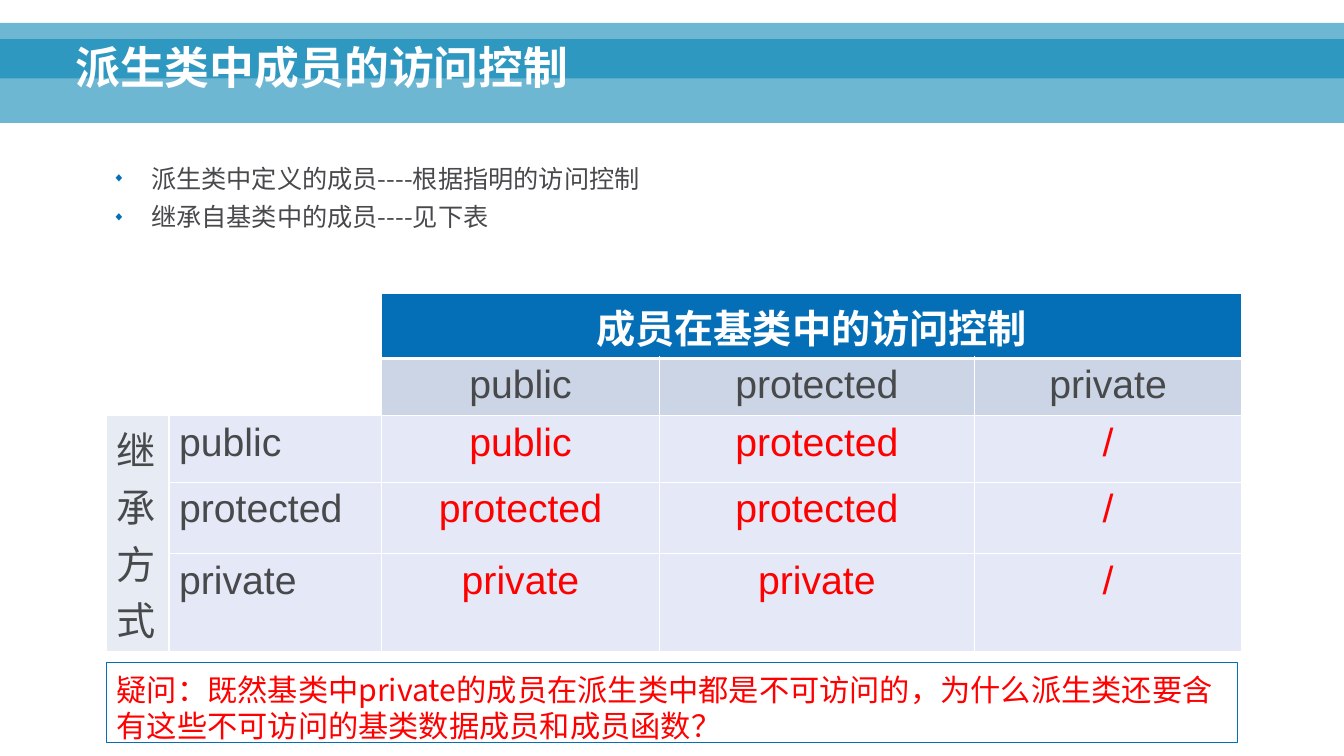
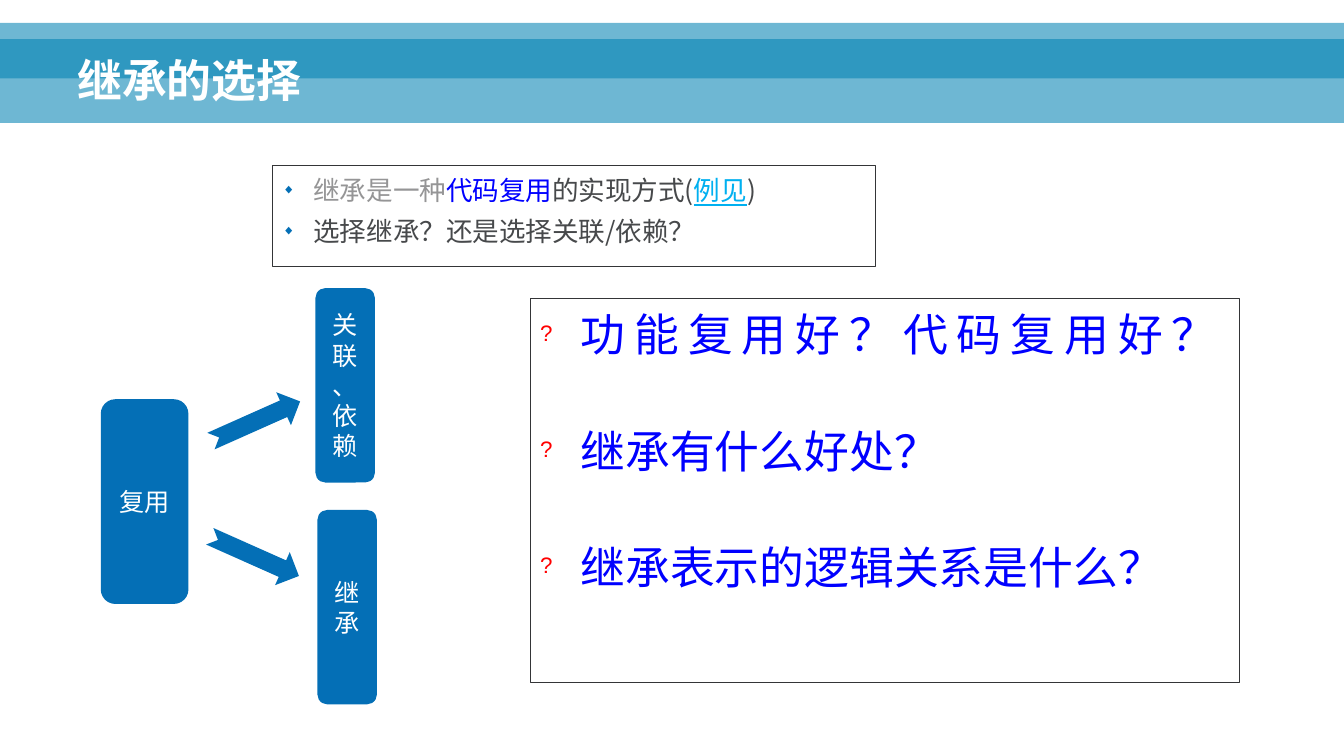
from pptx import Presentation
from pptx.dml.color import RGBColor
from pptx.enum.shapes import MSO_SHAPE as SHAPE
from pptx.enum.text import MSO_ANCHOR as ANCHOR, PP_ALIGN as ALIGN
from pptx.oxml.ns import qn
from pptx.util import Cm, Pt
from lxml.etree import SubElement, Element

COLORS = {
    "blue": "046FB6", "band": "0082B3", "white": "FFFFFF", "text": "47494B",
    "frame": "343537", "red": "FF0000", "ink": "0000FF", "grey": "959596",
    "link": "00B0F0", "head": "CCD5E5", "side": "E7EBF3", "body": "E5E9F7",
}
LATIN, CJK = "Arial", "Noto Sans CJK SC"
WIDTH, HEIGHT = 33.87, 19.05


def rgb(name):
    return RGBColor.from_string(COLORS[name])


def box(at):
    return [Cm(v) for v in at]


# Text
def add_run(p, text, size, color, font=CJK, bold=False, underline=False, spacing=0):
    r = p.add_run()
    r.text = text
    f = r.font
    f.size, f.bold, f.underline, f.name = Pt(size), bold, underline, font
    f.color.rgb = rgb(color)
    rpr = f._element
    SubElement(rpr, qn("a:ea")).set("typeface", CJK)
    if spacing:
        rpr.set("spc", str(round(spacing * 100)))


def set_bullet(p, char, color, indent):
    ppr = p._p.get_or_add_pPr()
    ppr.set("marL", str(Cm(indent)))
    ppr.set("indent", str(-Cm(indent)))
    SubElement(SubElement(ppr, qn("a:buClr")), qn("a:srgbClr")).set("val", COLORS[color])
    SubElement(ppr, qn("a:buSzPct")).set("val", "50000")
    SubElement(ppr, qn("a:buFont")).set("typeface", LATIN)
    SubElement(ppr, qn("a:buChar")).set("char", char)


def add_paragraphs(tf, paragraphs, size, bullet=None, gap=6):
    """Each paragraph is a list of (text, colour, run options)."""
    tf.word_wrap = True
    tf.vertical_anchor = ANCHOR.TOP
    tf.margin_top = Cm(0.22)
    for i, runs in enumerate(paragraphs):
        p = tf.add_paragraph() if i else tf.paragraphs[0]
        if bullet:
            set_bullet(p, *bullet)
        p.alignment = ALIGN.LEFT
        p.line_spacing = Pt(size * 1.2)
        if i < len(paragraphs) - 1:
            p.space_after = Pt(gap)
        for text, color, options in runs:
            add_run(p, text, size, color, **options)


# Shapes
def add_shape(s, kind, at, fill=None, line=None, alpha=None, rotation=0):
    sp = s.shapes.add_shape(kind, *box(at))
    sp.shadow.inherit = False
    sp.rotation = rotation
    if fill:
        sp.fill.solid()
        sp.fill.fore_color.rgb = rgb(fill)
    else:
        sp.fill.background()
    if line:
        sp.line.color.rgb = rgb(line)
        sp.line.width = Pt(0.75)
    else:
        sp.line.fill.background()
    if alpha:
        clr = sp._element.spPr.find(qn("a:solidFill"))[0]
        SubElement(clr, qn("a:alpha")).set("val", str(alpha * 1000))
    return sp


def add_block(s, at, lines):
    sp = add_shape(s, SHAPE.ROUNDED_RECTANGLE, at, "blue")
    tf = sp.text_frame
    tf.word_wrap = True
    tf.vertical_anchor = ANCHOR.MIDDLE
    p = tf.paragraphs[0]
    p.alignment = ALIGN.CENTER
    p.line_spacing = Pt(21.6)
    for i, text in enumerate(lines):
        if i:
            p.add_line_break()
        add_run(p, text, 18, "white", LATIN)


# Shared slide frame: overlapping bands and the title
def new_slide(prs, title, left, top):
    s = prs.slides.add_slide(prs.slide_layouts[6])
    for y, h in ((0.99, 2.11), (0.58, 1.4)):
        add_shape(s, SHAPE.RECTANGLE, (0, y, WIDTH, h), "band", alpha=57)
    tf = s.shapes.add_textbox(*box((left, top, 30.43, 2.21))).text_frame
    tf.word_wrap = True
    tf.vertical_anchor = ANCHOR.BOTTOM
    p = tf.paragraphs[0]
    p.line_spacing = 0.9
    add_run(p, title, 32, "white", LATIN, bold=True)
    return s


# Table
def style_cell(cell, fill=None, bottom=1):
    if fill:
        cell.fill.solid()
        cell.fill.fore_color.rgb = rgb(fill)
    else:
        cell.fill.background()
    tcpr = cell._tc.get_or_add_tcPr()
    for i, side in enumerate("LRTB"):
        ln = Element(qn(f"a:ln{side}"))
        ln.set("w", str(Pt(bottom if side == "B" else 1)))
        SubElement(SubElement(ln, qn("a:solidFill")), qn("a:srgbClr")).set("val", COLORS["white"])
        tcpr.insert(i, ln)


def write_cell(cell, text, color, align=ALIGN.CENTER, bold=False):
    p = cell.text_frame.paragraphs[0]
    p.alignment = align
    add_run(p, text, 28, color, LATIN, bold=bold)


def add_access_table(s):
    widths = (1.57, 5.36, 6.99, 7.95, 6.73)
    heights = (1.64, 1.34, 1.68, 1.8, 2.46)
    rows = (
        ("", "", "成员在基类中的访问控制", "", ""),
        ("", "", "public", "protected", "private"),
        ("继承方式", "public", "public", "protected", "/"),
        ("", "protected", "protected", "protected", "/"),
        ("", "private", "private", "private", "/"),
    )
    at = (2.69, 7.39, sum(widths), sum(heights))
    table = s.shapes.add_table(len(rows), len(widths), *box(at)).table
    table.first_row = table.horz_banding = False
    for column, w in zip(table.columns, widths):
        column.width = Cm(w)
    for row, h in zip(table.rows, heights):
        row.height = Cm(h)
    table.cell(0, 2).merge(table.cell(0, 4))
    table.cell(2, 0).merge(table.cell(4, 0))

    for i, row in enumerate(rows):
        for j, text in enumerate(row):
            if i < 2:
                fill = ("blue", "head")[i] if j > 1 else None
                color = ("white", "text")[i]
            else:
                fill = "body" if j else "side"
                color = "red" if j > 1 else "text"
            cell = table.cell(i, j)
            style_cell(cell, fill, 1 if i else 3)
            if text:
                write_cell(cell, text, color, ALIGN.CENTER if j > 1 else ALIGN.LEFT, i == 0)


# Slides
def access_slide(prs):
    s = new_slide(prs, "派生类中成员的访问控制", 1.65, 0.3)
    add_access_table(s)
    tf = s.shapes.add_textbox(*box((2.59, 3.89, 21.11, 2.97))).text_frame
    points = ("派生类中定义的成员----根据指明的访问控制", "继承自基类中的成员----见下表")
    add_paragraphs(tf, [[(t, "text", {})] for t in points], 18, ("◆", "blue", 0.97))
    note = add_shape(s, SHAPE.RECTANGLE, (2.69, 16.69, 28.5, 2.03), line="blue")
    question = ("疑问：既然基类中private的成员在派生类中都是不可访问的，"
                "为什么派生类还要含有这些不可访问的基类数据成员和成员函数？")
    add_paragraphs(note.text_frame, [[(question, "red", {})]], 21.6)


def choice_slide(prs):
    s = new_slide(prs, "继承的选择", 1.7, 0.61)
    intro = add_shape(s, SHAPE.RECTANGLE, (6.86, 4.17, 15.21, 2.54), line="frame")
    add_paragraphs(intro.text_frame, [
        [("继承是一种", "grey", {}), ("代码复用", "ink", {}), ("的实现方式(", "text", {}),
         ("例见", "link", {"underline": True}), (")", "text", {})],
        [("选择继承？还是选择关联/依赖？", "text", {})],
    ], 19, ("◆", "blue", 0.79))

    # Reuse diagram
    add_block(s, (2.54, 10.06, 2.21, 5.16), ["复用"])
    add_block(s, (7.95, 7.26, 1.5, 4.9), ["关联", "、", "依赖"])
    add_block(s, (8, 12.85, 1.5, 4.9), ["继承"])
    for x, y, angle in ((5.21, 10.16, 336), (5.18, 13.56, 24)):
        add_shape(s, SHAPE.NOTCHED_RIGHT_ARROW, (x, y, 2.46, 0.91), "blue", rotation=angle)

    # Questions
    panel = add_shape(s, SHAPE.RECTANGLE, (13.36, 7.52, 17.88, 9.68), line="frame")
    add_paragraphs(panel.text_frame, [
        [("功能复用好？代码复用好？", "ink", {"spacing": 6.4})],
        [("继承有什么好处？", "ink", {})],
        [("继承表示的逻辑关系是什么？", "ink", {})],
    ], 32, ("?", "red", 1.02), gap=44.5)


def main():
    prs = Presentation()
    prs.slide_width, prs.slide_height = Cm(WIDTH), Cm(HEIGHT)
    access_slide(prs)
    choice_slide(prs)
    prs.save("out.pptx")


if __name__ == "__main__":
    main()
